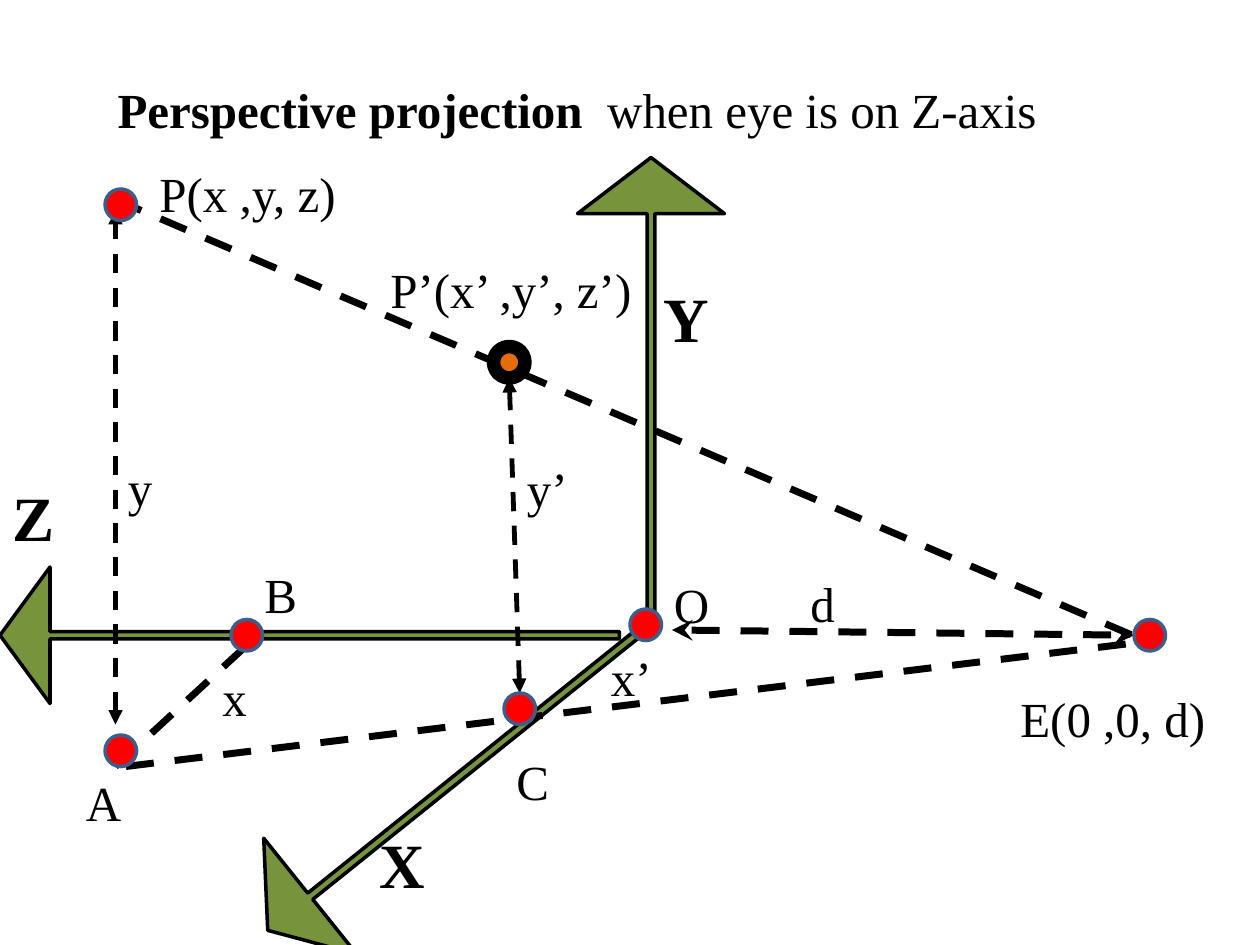
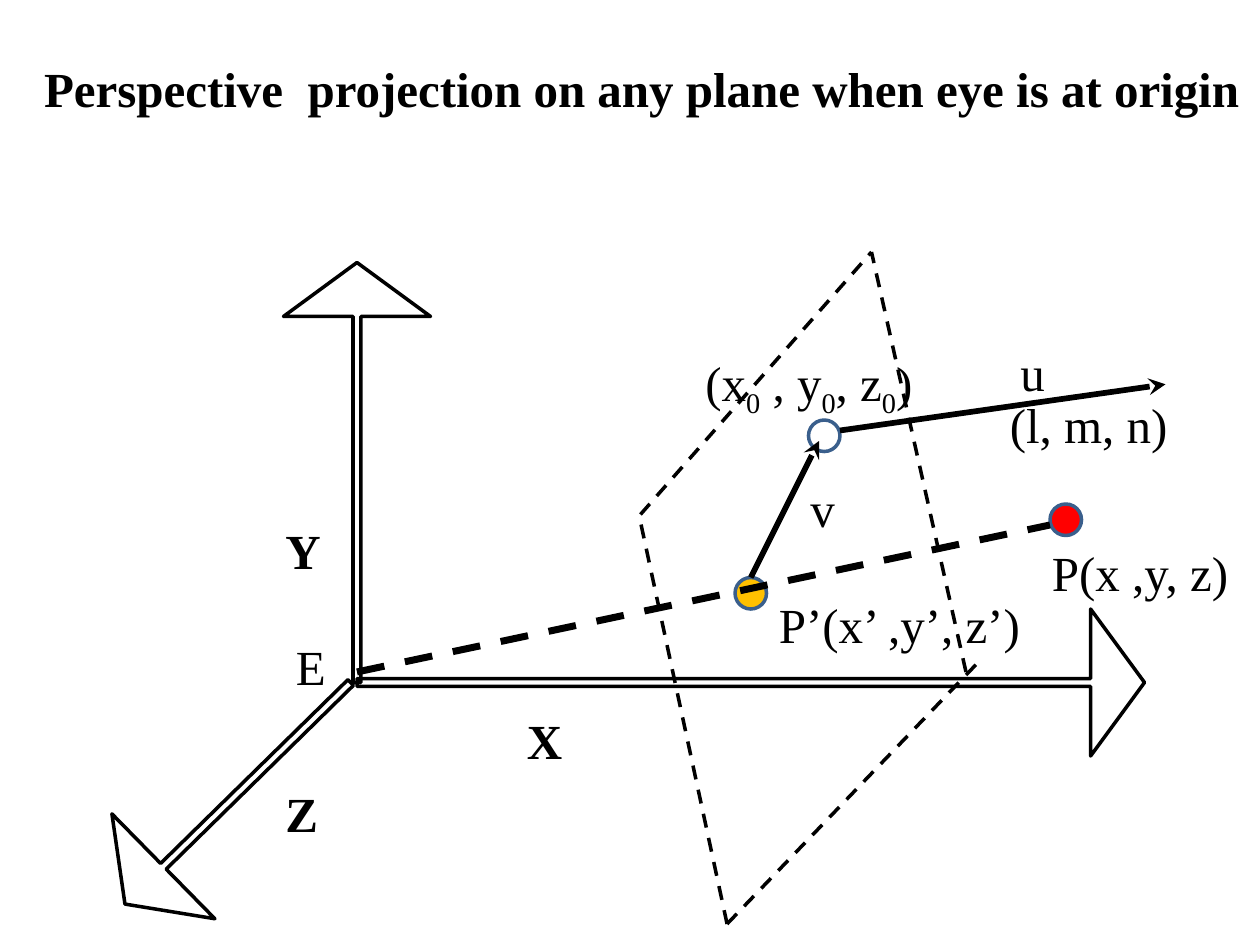
import math
from dataclasses import dataclass

import lxml.etree
import pptx
import pptx.dml.color
import pptx.enum.dml
import pptx.enum.shapes
import pptx.enum.text
import pptx.oxml.ns
import pptx.util

RGB = pptx.dml.color.RGBColor
BLACK = RGB(0x00, 0x00, 0x00)
GREEN = RGB(0x77, 0x93, 0x3C)
RED = RGB(0xFF, 0x00, 0x00)
AMBER = RGB(0xFF, 0xC0, 0x00)
ORANGE = RGB(0xE4, 0x6C, 0x0A)
BLUE = RGB(0x3A, 0x5F, 0x8C)

FACE = "Times New Roman"
COLS = 120
DOT = 3
TEXT = 28


@dataclass
class Board:
    slide: object
    left: int
    top: int
    width: int

    def size(self, cells):
        return round(cells * self.width / COLS)

    def place(self, col, row):
        return self.left + self.size(col), self.top + self.size(row)

    def shape(self, kind, col, row, wide, tall, fill, edge, weight):
        item = self.slide.shapes.add_shape(
            kind, *self.place(col, row), self.size(wide), self.size(tall))
        item.shadow.inherit = False
        if fill is None:
            item.fill.background()
        else:
            item.fill.solid()
            item.fill.fore_color.rgb = fill
        item.line.color.rgb = edge
        item.line.width = pptx.util.Pt(weight)
        return item

    def axis(self, tail, tip, fill=None, wide=14, head=0.367):
        run, rise = tip[0] - tail[0], tip[1] - tail[1]
        span = math.hypot(run, rise)
        col = (tail[0] + tip[0] - wide) / 2
        row = (tail[1] + tip[1] - span) / 2
        arrow = self.shape(pptx.enum.shapes.MSO_SHAPE.UP_ARROW,
                           col, row, wide, span, fill, BLACK, 2)
        arrow.rotation = math.degrees(math.atan2(run, -rise)) % 360
        arrow.adjustments[0] = 0.054
        arrow.adjustments[1] = head

    def dot(self, col, row, fill=RED, edge=BLUE, weight=2):
        self.shape(pptx.enum.shapes.MSO_SHAPE.OVAL,
                   col, row, DOT, DOT, fill, edge, weight)

    def line(self, start, end, weight=4, dash=True, head=None, tail=None):
        link = self.slide.shapes.add_connector(
            pptx.enum.shapes.MSO_CONNECTOR.STRAIGHT,
            *self.place(*start), *self.place(*end))
        link.line.color.rgb = BLACK
        link.line.width = pptx.util.Pt(weight)
        if dash:
            link.line.dash_style = pptx.enum.dml.MSO_LINE.DASH
        qn = pptx.oxml.ns.qn
        props = link._element.spPr
        stroke = props.find(qn("a:ln"))
        for tag, kind in (("a:headEnd", head), ("a:tailEnd", tail)):
            if kind:
                lxml.etree.SubElement(stroke, qn(tag)).set("type", kind)
        lxml.etree.SubElement(props, qn("a:effectLst"))

    def label(self, text, col, row, wide=6, size=TEXT, bold=False):
        box = self.slide.shapes.add_textbox(
            *self.place(col, row), self.size(wide), self.size(size * 0.24))
        frame = box.text_frame
        frame.word_wrap = True
        frame.auto_size = pptx.enum.text.MSO_AUTO_SIZE.SHAPE_TO_FIT_TEXT
        para = frame.paragraphs[0]
        style(para.font, size, bold)
        for index, part in enumerate(text.split("|")):
            run = para.add_run()
            run.text = part
            if index % 2:
                run._r.get_or_add_rPr().set("baseline", "-25000")

    def title(self, col, row, wide, strong, plain=""):
        head = self.slide.shapes.title
        head.left, head.top = self.place(col, row)
        head.width, head.height = self.size(wide), self.size(6.8)
        frame = head.text_frame
        frame.word_wrap = True
        frame.auto_size = pptx.enum.text.MSO_AUTO_SIZE.NONE
        frame.vertical_anchor = pptx.enum.text.MSO_ANCHOR.TOP
        para = frame.paragraphs[0]
        para.alignment = pptx.enum.text.PP_ALIGN.LEFT
        style(para.font, TEXT, True)
        para.add_run().text = strong
        if plain:
            rest = para.add_run()
            rest.text = plain
            rest.font.bold = False


def style(font, size, bold):
    font.name = FACE
    font.size = pptx.util.Pt(size)
    font.bold = bold
    font.color.rgb = BLACK


def draw_eye(board):
    board.title(10, 7, 95, "Perspective projection  ", "when eye is on Z-axis")
    board.axis((62, 60), (62, 15), GREEN, head=0.382)
    board.axis((59, 60.5), (0, 60.5), GREEN, wide=13)
    board.axis((60.9, 60.2), (25.5, 88.6), GREEN, wide=14.16)
    for name, col, row in (("Y", 62, 26), ("X", 35, 78), ("Z", 0, 45)):
        board.label(name, col, row, size=36, bold=True)

    board.line((64, 60), (108, 60.5), head="stealth", tail="stealth")
    for start, end in (((11, 73), (24, 61)), ((12, 73), (110, 61)),
                       ((11, 19), (109, 61))):
        board.line(start, end)
    for start, end in (((11, 69), (11, 20)), ((49.5, 66), (48.5, 36))):
        board.line(start, end, 2.75, head="triangle", tail="triangle")

    for col, row in ((108, 59), (60, 58), (48, 66), (10, 18), (22, 59), (10, 70)):
        board.dot(col, row)
    board.dot(47, 33, ORANGE, BLACK, 7.75)

    for text, col, row, wide in (
            ("P(x ,y, z)", 14, 15, 21), ("P’(x’ ,y’, z’)", 36, 24.1, 26),
            ("A", 7, 73, 6), ("B", 24, 53.2, 6), ("C", 48, 71, 6),
            ("O", 63, 54.1, 6), ("E(0 ,0, d)", 96, 65, 21),
            ("y", 11, 43, 6), ("y’", 49, 43.1, 8), ("d", 76, 54, 6),
            ("x", 20, 63, 6), ("x’", 57, 61.1, 9)):
        board.label(text, col, row, wide)


def draw_plane(board):
    board.title(3, 5, 117,
                "Perspective  projection on any plane when eye is at origin")
    for tail, tip in (((34, 65), (34, 25)), ((34, 65), (109, 65)),
                      ((33.4, 65), (11.9, 86.1))):
        board.axis(tail, tip)
    for name, col, row in (("X", 49, 67.1), ("Y", 26, 49), ("Z", 26, 74)):
        board.label(name, col, row, bold=True)

    board.dot(100, 48)
    board.dot(70, 55, AMBER)
    board.dot(77, 40, None)

    for start, end in (((61, 49), (83, 24)), ((69.25, 88), (93, 63.25)),
                       ((92, 64), (83, 24)), ((69.25, 88), (61, 49.7))):
        board.line(start, end, 2)
    board.line((34, 64), (100, 50))
    for start, end in (((80, 41), (111, 36.6)), ((71.5, 55), (78, 42))):
        board.line(start, end, 3.25, dash=False, tail="stealth")

    for text, col, row, wide in (
            ("P’(x’ ,y’, z’)", 73, 56, 27), ("P(x ,y, z)", 99, 51.1, 21),
            ("(x|0| , y|0|, z|0|)", 66, 33, 27), ("u", 96, 32, 6),
            ("(l, m, n)", 95, 37, 19), ("E", 27, 60, 5), ("v", 76, 45, 6)):
        board.label(text, col, row, wide)


def main():
    deck = pptx.Presentation()
    deck.slide_width = pptx.util.Inches(10)
    deck.slide_height = pptx.util.Inches(7.5)
    for draw in (draw_eye, draw_plane):
        slide = deck.slides.add_slide(deck.slide_layouts.get_by_name("Title Only"))
        draw(Board(slide, 0, 0, deck.slide_width))
    deck.save("out.pptx")


if __name__ == "__main__":
    main()
